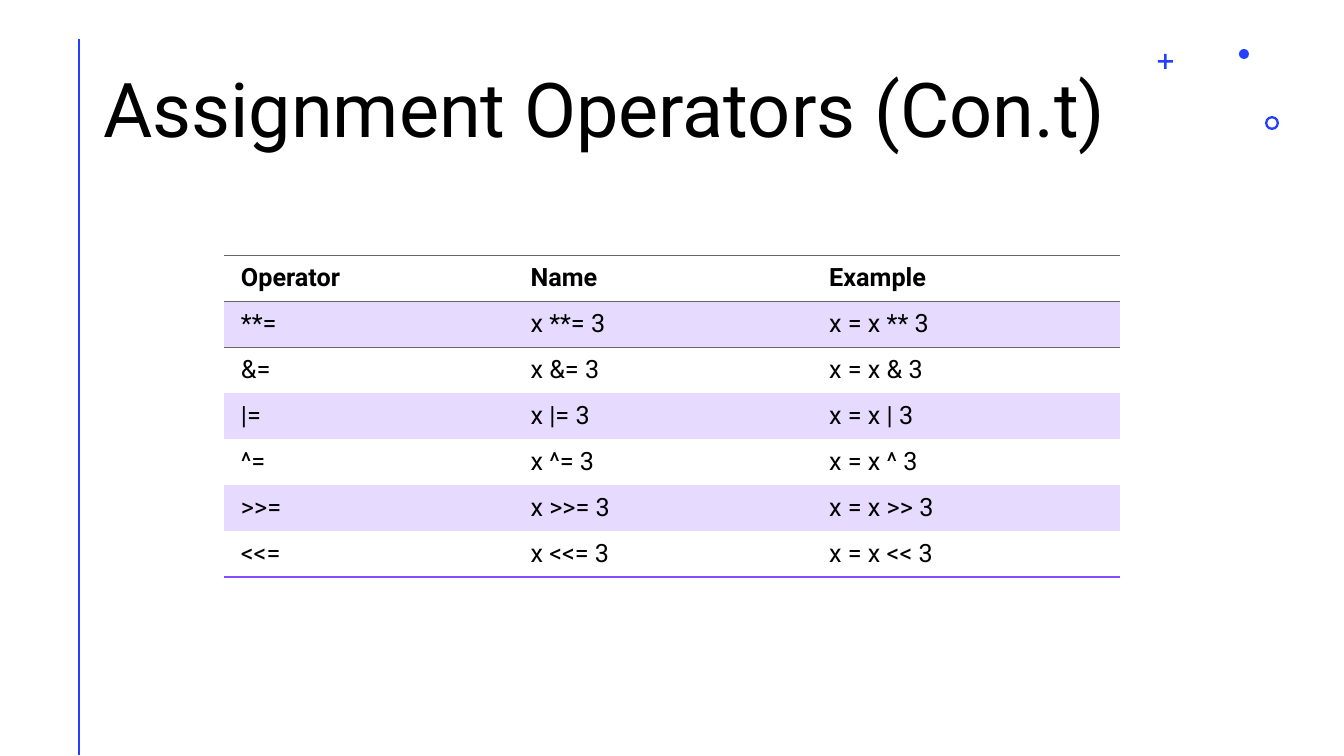
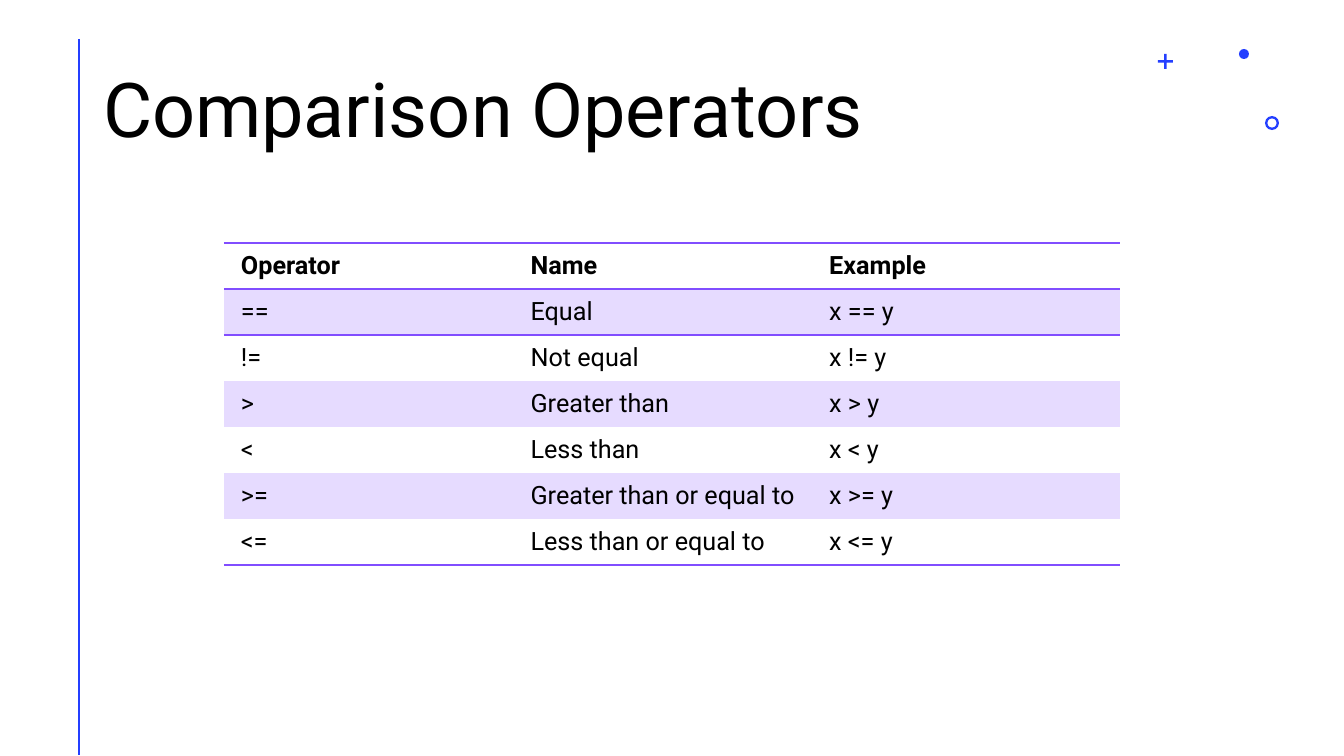
"""Build two slides of operator tables that share one decorated layout."""
from lxml.etree import SubElement
from pptx import Presentation
from pptx.dml.color import RGBColor
from pptx.enum.shapes import MSO_CONNECTOR, MSO_SHAPE
from pptx.enum.text import MSO_ANCHOR, MSO_AUTO_SIZE, PP_ALIGN
from pptx.oxml.ns import qn
from pptx.util import Emu, Pt


def px(*nums):
    """Turn pixel lengths into EMU."""
    return [Emu(round(num * 914400 / 100.8)) for num in nums]


def style(obj, form):
    """Set attributes from a dict; hex strings become colours."""
    for key, val in form.items():
        if key == "color":
            obj.color.rgb = RGBColor.from_string(val)
        elif key == "fore":
            obj.solid()
            obj.fore_color.rgb = RGBColor.from_string(val)
        else:
            setattr(obj, key, val)


BLUE, PURPLE, BAND, GREY, BLACK = "243FFF", "814DFF", "E6DBFF", "666666", "000000"
PLAIN = "{2D5ABB26-0587-4C30-8999-92F81FD0307C}"
HEAD = ("Operator", "Name", "Example")
FONT = {"name": "Roboto", "color": BLACK}
LARGE = FONT | {"size": Pt(54), "bold": False}
SMALL = FONT | {"size": Pt(18)}
FRAME = {"word_wrap": True, "auto_size": MSO_AUTO_SIZE.NONE,
         "vertical_anchor": MSO_ANCHOR.MIDDLE}
PARA = {"alignment": PP_ALIGN.LEFT, "line_spacing": 0.9}
PLACE = dict(zip(("left", "top", "width", "height"), px(93, 40, 1159, 146)))
INSET = dict(zip(("margin_top", "margin_right", "margin_bottom"), px(8, 8, 8)))

DECOR = [
    (MSO_SHAPE.CROSS, 1158, 54, 15, 0.42),
    (MSO_SHAPE.DONUT, 1265, 116, 14, 0.17),
    (MSO_SHAPE.OVAL, 1239, 49, 10, None),
]

PAGES = [
    ("Assignment Operators (Con.t)", 255, GREY, 0.75, [
        ("**=", "x **= 3", "x = x ** 3"),
        ("&=", "x &= 3", "x = x & 3"),
        ("|=", "x |= 3", "x = x | 3"),
        ("^=", "x ^= 3", "x = x ^ 3"),
        (">>=", "x >>= 3", "x = x >> 3"),
        ("<<=", "x <<= 3", "x = x << 3"),
    ]),
    ("Comparison Operators", 243, PURPLE, 1, [
        ("==", "Equal", "x == y"),
        ("!=", "Not equal", "x != y"),
        (">", "Greater than", "x > y"),
        ("<", "Less than", "x < y"),
        (">=", "Greater than or equal to", "x >= y"),
        ("<=", "Less than or equal to", "x <= y"),
    ]),
]

deck = Presentation()
deck.slide_width, deck.slide_height = px(1344, 756)
layout = deck.slide_layouts[5]
style(layout.placeholders[0], PLACE)
slides = [deck.slides.add_slide(layout) for page in PAGES]

shapes = slides[0].shapes
bar = shapes.add_connector(MSO_CONNECTOR.STRAIGHT, *px(79, 39, 79, 755))
style(bar.line, {"color": BLUE, "width": Pt(2)})
SubElement(bar.element.spPr, qn("a:effectLst"))
layout.shapes.element.append(bar.element)
for kind, left, top, size, adjust in DECOR:
    mark = shapes.add_shape(kind, *px(left, top, size, size))
    mark.shadow.inherit = False
    style(mark.fill, {"fore": BLUE})
    mark.line.fill.background()
    if adjust:
        mark.adjustments[0] = adjust
    layout.shapes.element.append(mark.element)

for slide, (name, top, rule, weight, rows) in zip(slides, PAGES):
    title = slide.shapes.title
    title.text = name
    style(title, PLACE)
    style(title.text_frame, FRAME)
    para = title.text_frame.paragraphs[0]
    style(para, PARA)
    style(para.runs[0].font, LARGE)

    lines = [HEAD, *rows]
    last = len(rows)
    edges = {0: "TB", 1: "T", last: "B"}
    frame = slide.shapes.add_table(len(lines), len(HEAD),
                                   *px(224, top, 896, 46 * len(lines)))
    frame.element.xpath(".//a:tableStyleId")[0].text = PLAIN
    grid = frame.table
    style(grid, {"first_row": True, "horz_banding": False})
    for row, line in enumerate(lines):
        for col, text in enumerate(line):
            cell = grid.cell(row, col)
            cell.text = text
            style(cell, INSET | {"margin_left": px(8 if col else 17)[0]})
            style(cell.text_frame.paragraphs[0].runs[0].font,
                  SMALL | {"bold": row == 0})
            props = cell._tc.get_or_add_tcPr()
            tint, wide = (PURPLE, 1) if row == last else (rule, weight)
            for side in edges.get(row, ""):
                edge = SubElement(props, qn("a:ln" + side), w=str(Pt(wide)))
                fill = SubElement(edge, qn("a:solidFill"))
                SubElement(fill, qn("a:srgbClr"), val=tint)
            if row % 2:
                style(cell.fill, {"fore": BAND})
            else:
                cell.fill.background()

deck.save("out.pptx")
